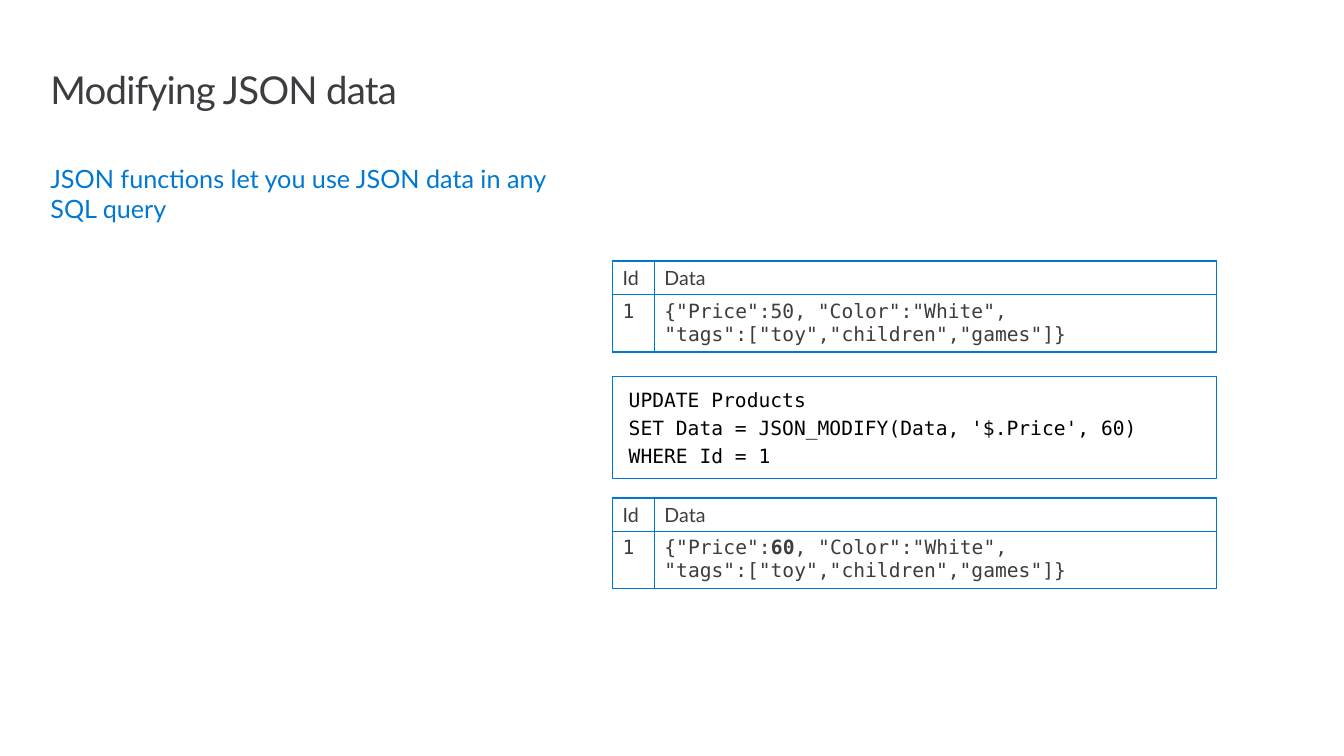
from lxml import etree
from pptx import Presentation
from pptx.dml.color import RGBColor
from pptx.enum.shapes import MSO_SHAPE
from pptx.enum.text import MSO_ANCHOR, PP_ALIGN
from pptx.oxml.ns import qn
from pptx.util import Pt

RECTANGLE = MSO_SHAPE.RECTANGLE
TOP, MIDDLE = MSO_ANCHOR.TOP, MSO_ANCHOR.MIDDLE
LEFT_ALIGN = PP_ALIGN.LEFT

BLUE, GREY, BLACK = "0078D3", "3C3C41", "000000"
SANS, MONO = "Lato", "DejaVu Sans Mono"

TITLE = "Modifying JSON data"
SUBTITLE = "JSON functions let you use JSON data in any\vSQL query"
UPDATE_CODE = [
    "UPDATE Products",
    "SET Data = JSON_MODIFY(Data, '$.Price', 60)",
    "WHERE Id = 1",
]
HEADER = ["Id", "Data"]
DATA_BEFORE_PRICE = '{"Price":'
DATA_AFTER_PRICE = ', "Color":"White",\v"tags":["toy","children","games"]}'
PRODUCT_TABLES = [(186.5, "50", False), (355.7, "60", True)]

MARGIN_LEFT = 36
PANEL_LEFT = 437.6
COLUMN_WIDTHS = [29.8, 401.8]
ROW_HEIGHTS = [24, 40.8]
PANEL_WIDTH = sum(COLUMN_WIDTHS)


def colour(value):
    return RGBColor.from_string(value)


def style(font, name, size, value):
    font.name = name
    font.size = Pt(size)
    font.color.rgb = colour(value)


def set_frame(frame, left_inset, anchor):
    frame.word_wrap = True
    frame.margin_left, frame.margin_right = Pt(left_inset), Pt(11.5)
    frame.margin_top = frame.margin_bottom = Pt(7.2)
    frame.vertical_anchor = anchor


def add_text(page, text, top, width, height, size, value):
    box = page.shapes.add_textbox(Pt(MARGIN_LEFT), Pt(top), Pt(width), Pt(height))
    set_frame(box.text_frame, 0, TOP)
    box.text_frame.text = text
    para = box.text_frame.paragraphs[0]
    for span in para.runs:
        style(span.font, SANS, size, value)
    return para


def add_code(page, lines, top, height):
    box = page.shapes.add_shape(
        RECTANGLE, Pt(PANEL_LEFT), Pt(top), Pt(PANEL_WIDTH), Pt(height))
    box.shadow.inherit = False
    box.fill.background()
    box.line.color.rgb = colour(BLUE)
    box.line.width = Pt(0.75)
    frame = box.text_frame
    set_frame(frame, 11.5, MIDDLE)
    frame.text = "\n".join(lines)
    for index, para in enumerate(frame.paragraphs):
        para.alignment = LEFT_ALIGN
        if index:
            para.space_before = Pt(3.3)
        style(para.runs[0].font, MONO, 14, BLACK)


def outline_cell(cell):
    properties = cell._tc.get_or_add_tcPr()
    for side in ("a:lnL", "a:lnR", "a:lnT", "a:lnB"):
        line = etree.SubElement(properties, qn(side), w=str(Pt(1)))
        fill = etree.SubElement(line, qn("a:solidFill"))
        etree.SubElement(fill, qn("a:srgbClr"), val=BLUE)
    cell.fill.background()


def add_product_table(page, top, price, emphasised):
    table = page.shapes.add_table(
        2, 2, Pt(PANEL_LEFT), Pt(top), Pt(PANEL_WIDTH), Pt(sum(ROW_HEIGHTS))).table
    table.first_row = table.horz_banding = False
    for column, width in zip(table.columns, COLUMN_WIDTHS):
        column.width = Pt(width)
    for row, height in zip(table.rows, ROW_HEIGHTS):
        row.height = Pt(height)
    for index, label in enumerate(HEADER):
        table.cell(0, index).text = label
    table.cell(1, 0).text = "1"
    para = table.cell(1, 1).text_frame.paragraphs[0]
    if emphasised:
        para.text = DATA_BEFORE_PRICE
        span = para.add_run()
        span.text = price
        span.font.bold = True
        first, second = DATA_AFTER_PRICE.split("\v")
        para.add_run().text = first
        para.add_line_break()
        para.add_run().text = second
    else:
        para.text = DATA_BEFORE_PRICE + price + DATA_AFTER_PRICE
    for row, name in zip(table.rows, (SANS, MONO)):
        for cell in row.cells:
            outline_cell(cell)
            for span in cell.text_frame.paragraphs[0].runs:
                style(span.font, name, 14, GREY)


def main():
    deck = Presentation()
    deck.slide_width, deck.slide_height = Pt(960), Pt(540)
    page = deck.slides.add_slide(deck.slide_layouts[6])
    add_text(page, SUBTITLE, 109.4, 380, 144, 18, BLUE)
    title = add_text(page, TITLE, 44, 890, 64, 27.4, GREY)
    title.line_spacing = 0.9
    title.runs[0].font._element.set("spc", "-50")
    add_code(page, UPDATE_CODE, 269, 72.5)
    for top, price, emphasised in PRODUCT_TABLES:
        add_product_table(page, top, price, emphasised)
    deck.save("out.pptx")


if __name__ == "__main__":
    main()
